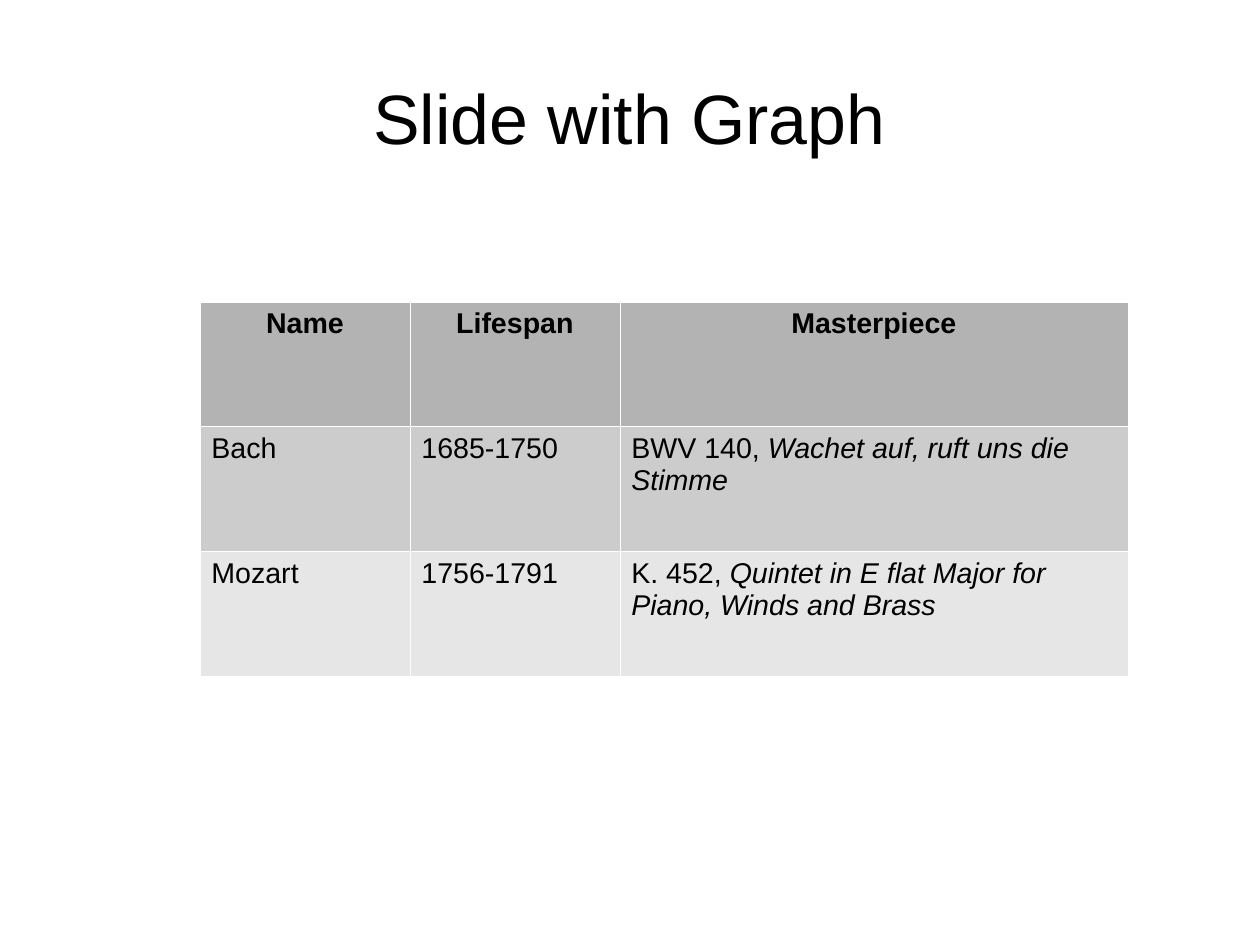
from dataclasses import dataclass

from lxml.etree import SubElement
from pptx import Presentation
from pptx.dml.color import RGBColor
from pptx.enum.text import MSO_ANCHOR, PP_ALIGN
from pptx.oxml.ns import qn
from pptx.slide import Slide
from pptx.table import _Cell as Cell
from pptx.text.text import Font
from pptx.util import Pt

BLACK = RGBColor(0x00, 0x00, 0x00)
WHITE = RGBColor(0xFF, 0xFF, 0xFF)
HEADER_GRAY = RGBColor(0xB3, 0xB3, 0xB3)
MID_GRAY = RGBColor(0xCC, 0xCC, 0xCC)
LIGHT_GRAY = RGBColor(0xE6, 0xE6, 0xE6)

COLUMN_WIDTHS = (Pt(132.25), Pt(132.25), Pt(320))
ROW_HEIGHT = Pt(78.7)
BORDER_WIDTH = Pt(0.06)


@dataclass(frozen=True)
class Composer:
    name: str
    lifespan: str
    catalogue: str
    work: str
    fill: RGBColor


HEADINGS = ("Name", "Lifespan", "Masterpiece")
COMPOSERS = (
    Composer("Bach", "1685-1750", "BWV 140, ",
             "Wachet auf, ruft uns die Stimme", MID_GRAY),
    Composer("Mozart", "1756-1791", "K. 452, ",
             "Quintet in E flat Major for Piano, Winds and Brass", LIGHT_GRAY),
)


def set_font(font: Font, size: float, bold: bool = False) -> None:
    font.name = "Arial"
    font.size = Pt(size)
    font.bold = bold
    font.color.rgb = BLACK


def add_borders(cell: Cell) -> None:
    """Outline the cell; call before filling, as borders come first in tcPr."""
    tc_pr = cell._tc.get_or_add_tcPr()
    for side in ("a:lnL", "a:lnR", "a:lnT", "a:lnB"):
        line = SubElement(tc_pr, qn(side), w=str(BORDER_WIDTH))
        SubElement(SubElement(line, qn("a:solidFill")), qn("a:srgbClr"), val=str(WHITE))


def fill_cell(cell: Cell, text: str, fill: RGBColor,
              header: bool = False, italic_text: str = "") -> None:
    add_borders(cell)
    cell.fill.solid()
    cell.fill.fore_color.rgb = fill
    p = cell.text_frame.paragraphs[0]
    p.alignment = PP_ALIGN.CENTER if header else PP_ALIGN.LEFT
    runs = [(text, False), (italic_text, True)] if italic_text else [(text, False)]
    for run_text, italic in runs:
        r = p.add_run()
        r.text = run_text
        set_font(r.font, 18, bold=header)
        r.font.italic = italic


def add_title(s: Slide, text: str) -> None:
    title = s.shapes.title
    title.left, title.top, title.width, title.height = Pt(39.6), Pt(23.75), Pt(714.25), Pt(99.4)
    tf = title.text_frame
    tf.margin_left = tf.margin_top = tf.margin_right = tf.margin_bottom = 0
    tf.vertical_anchor = MSO_ANCHOR.MIDDLE
    p = tf.paragraphs[0]
    p.text = text
    p.alignment = PP_ALIGN.CENTER
    set_font(p.font, 44)


def add_composer_table(s: Slide) -> None:
    row_count = len(COMPOSERS) + 1
    table = s.shapes.add_table(row_count, len(HEADINGS), Pt(126), Pt(190),
                               sum(COLUMN_WIDTHS), ROW_HEIGHT * row_count).table
    table.first_row = table.horz_banding = False
    for column, width in zip(table.columns, COLUMN_WIDTHS):
        column.width = width
    for col, heading in enumerate(HEADINGS):
        fill_cell(table.cell(0, col), heading, HEADER_GRAY, header=True)
    for row, composer in enumerate(COMPOSERS, start=1):
        fill_cell(table.cell(row, 0), composer.name, composer.fill)
        fill_cell(table.cell(row, 1), composer.lifespan, composer.fill)
        fill_cell(table.cell(row, 2), composer.catalogue, composer.fill,
                  italic_text=composer.work)


def main() -> None:
    prs = Presentation()
    prs.slide_width, prs.slide_height = Pt(793.7), Pt(595.28)
    s = prs.slides.add_slide(prs.slide_layouts[5])
    add_title(s, "Slide with Graph")
    add_composer_table(s)
    prs.save("out.pptx")


if __name__ == "__main__":
    main()
